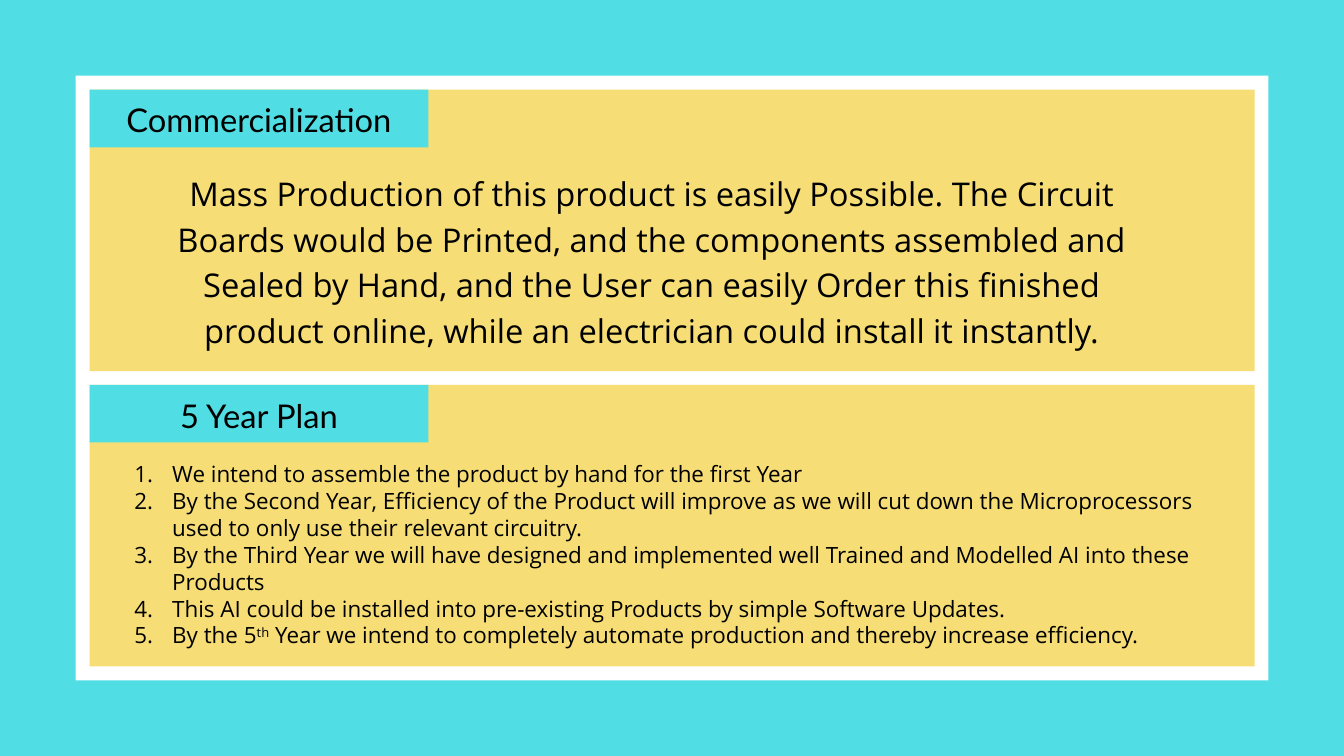
import pptx
import pptx.dml.color
import pptx.enum.shapes
import pptx.enum.text
import pptx.oxml
import pptx.util
from pptx.util import Cm

CYAN, YELLOW, WHITE, BLACK = "50DEE4", "F6DD76", "FFFFFF", "000000"
HEADING_FONT, BODY_FONT = "Lato", "Open Sans"

PANEL_LEFT, PANEL_WIDTH, PANEL_HEIGHT = 3.39, 44.03, 10.64
PANEL_TOPS = (3.39, 14.55)
TAB_WIDTH, TAB_HEIGHT = 12.8, 2.18

COMMERCIALIZATION = (
    "Mass Production of this product is easily Possible. The Circuit Boards "
    "would be Printed, and the components assembled and Sealed by Hand, and "
    "the User can easily Order this finished product online, while an "
    "electrician could install it instantly."
)
# Each step is a list of (text, is_superscript) runs.
PLAN = [
    [("We intend to assemble the product by hand for the first Year", False)],
    [("By the Second Year, Efficiency of the Product will improve as we will "
      "cut down the Microprocessors used to only use their relevant "
      "circuitry.", False)],
    [("By the Third Year we will have designed and implemented well Trained "
      "and Modelled AI into these Products", False)],
    [("This AI could be installed into pre-existing Products by simple "
      "Software Updates.", False)],
    [("By the 5", False), ("th", True),
     (" Year we intend to completely automate production and thereby "
      "increase efficiency.", False)],
]


def paint(fill, color):
    fill.solid()
    fill.fore_color.rgb = pptx.dml.color.RGBColor.from_string(color)


def add_rect(s, left, top, width, height, color):
    sp = s.shapes.add_shape(pptx.enum.shapes.MSO_SHAPE.RECTANGLE,
                            Cm(left), Cm(top), Cm(width), Cm(height))
    paint(sp.fill, color)
    sp.line.fill.background()
    sp.shadow.inherit = False


def add_text_box(s, left, top, width, height):
    """Add a wrapping text box without margins and return its text frame."""
    tf = s.shapes.add_textbox(Cm(left), Cm(top), Cm(width), Cm(height)).text_frame
    tf.word_wrap = True
    tf.margin_left = tf.margin_top = tf.margin_right = tf.margin_bottom = 0
    return tf


def add_run(p, text, *, font=BODY_FONT, size=35, color=BLACK, superscript=False):
    r = p.add_run()
    r.text = text
    r.font.name = font
    r.font.size = pptx.util.Pt(size)
    paint(r.font.fill, color)
    if superscript:
        r._r.get_or_add_rPr().set("baseline", "30000")


def add_centered_text(s, box, text, **style):
    p = add_text_box(s, *box).paragraphs[0]
    p.alignment = pptx.enum.text.PP_ALIGN.CENTER
    p.line_spacing = pptx.util.Pt(49)
    add_run(p, text, **style)


def number_paragraph(p, indent):
    """Give the paragraph an automatic number with a hanging indent."""
    pPr = p._p.get_or_add_pPr()
    pPr.set("marL", str(indent))
    pPr.set("indent", str(-indent))
    pPr.append(pptx.oxml.parse_xml(
        '<a:buFont xmlns:a="http://schemas.openxmlformats.org/drawingml/2006/main"'
        ' typeface="+mj-lt"/>'))
    pPr.append(pptx.oxml.parse_xml(
        '<a:buAutoNum xmlns:a="http://schemas.openxmlformats.org/drawingml/2006/main"'
        ' type="arabicPeriod"/>'))


def add_numbered_list(s, box, items, **style):
    tf = add_text_box(s, *box)
    for i, runs in enumerate(items):
        p = tf.add_paragraph() if i else tf.paragraphs[0]
        number_paragraph(p, Cm(1.43))
        for text, superscript in runs:
            add_run(p, text, superscript=superscript, **style)


def add_panel(s, top, heading):
    add_rect(s, PANEL_LEFT, top, PANEL_WIDTH, PANEL_HEIGHT, YELLOW)
    add_rect(s, PANEL_LEFT, top, TAB_WIDTH, TAB_HEIGHT, CYAN)
    add_centered_text(s, (PANEL_LEFT, top + 0.15, TAB_WIDTH, 1.68), heading,
                      font=HEADING_FONT)


def main():
    prs = pptx.Presentation()
    prs.slide_width, prs.slide_height = Cm(50.8), Cm(28.58)
    s = prs.slides.add_slide(prs.slide_layouts[6])
    paint(s.background.fill, CYAN)

    add_rect(s, 2.86, 2.86, 45.08, 22.86, WHITE)
    for top, heading in zip(PANEL_TOPS, ("Commercialization", "5 Year Plan")):
        add_panel(s, top, heading)
    add_centered_text(s, (5.28, 6.32, 38.74, 6.86), COMMERCIALIZATION)
    add_numbered_list(s, (5.08, 17.4, 40.64, 7.19), PLAN, size=24)

    prs.save("out.pptx")


if __name__ == "__main__":
    main()
